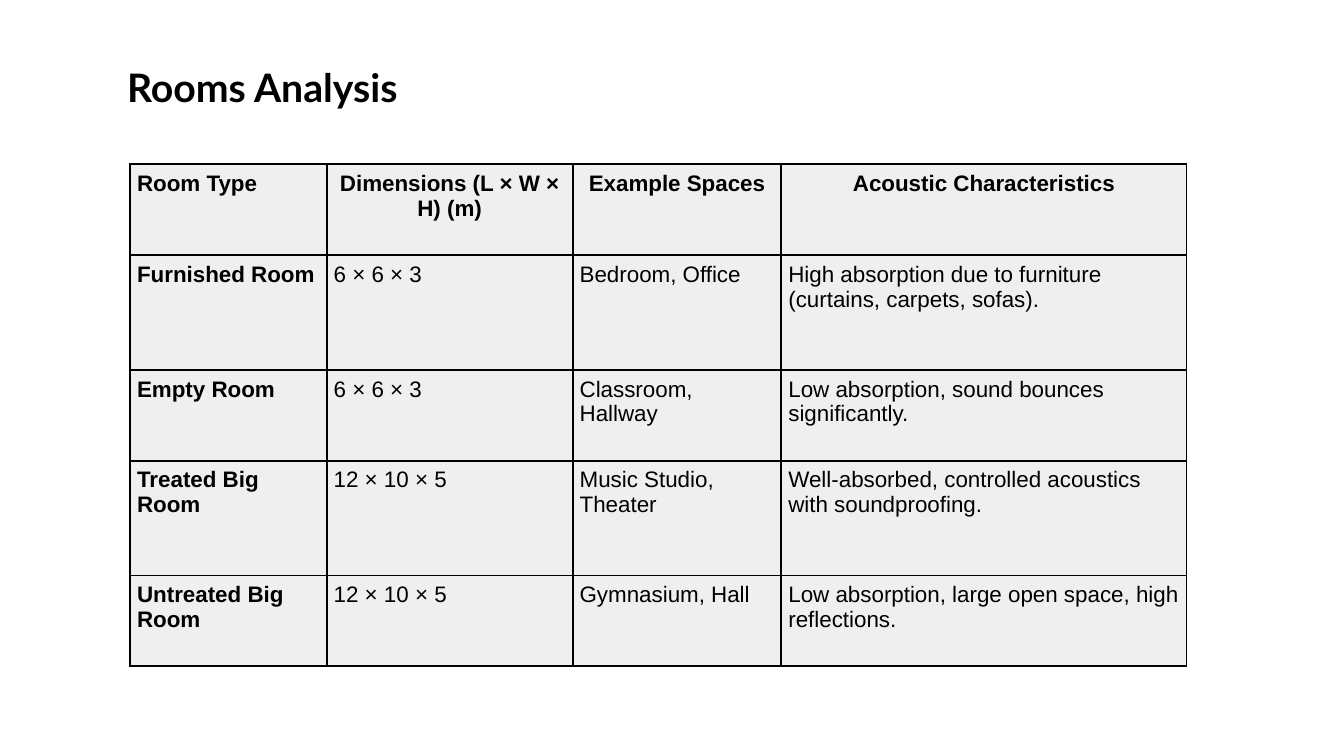
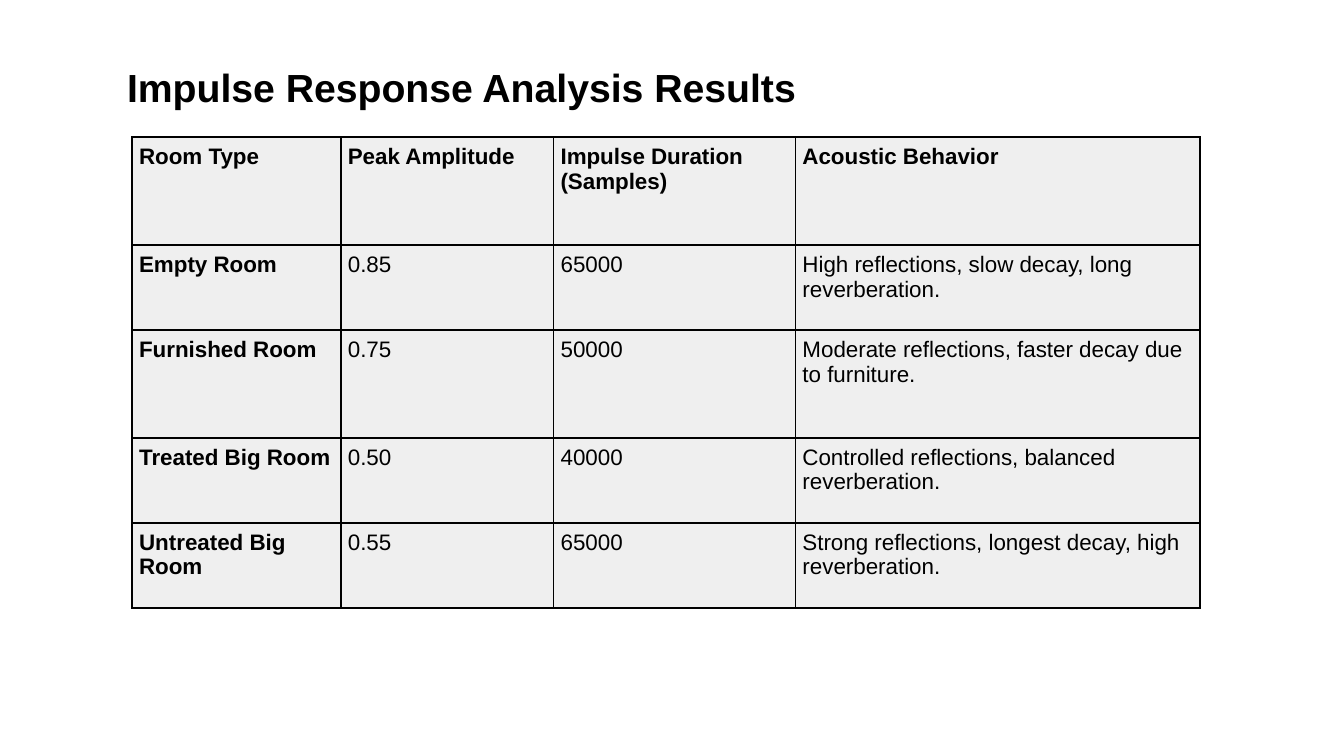
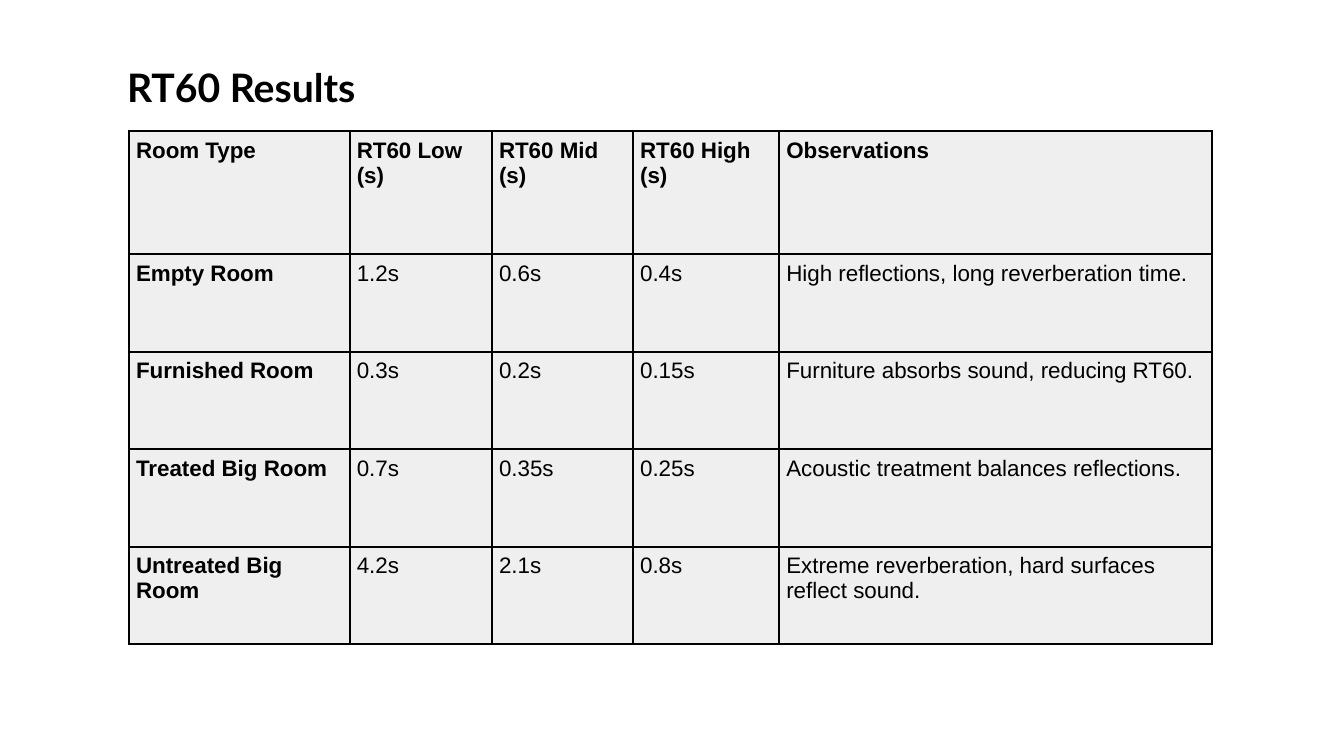
from dataclasses import dataclass
from typing import Any

from lxml.etree import SubElement
from pptx import Presentation
from pptx.dml.color import RGBColor as RGB
from pptx.enum.text import MSO_ANCHOR as Anchor, MSO_AUTO_SIZE as AutoSize, PP_ALIGN as Align
from pptx.oxml.ns import qn
from pptx.util import Inches, Length, Pt


@dataclass(frozen=True)
class Theme:
    ink: RGB = RGB(0, 0, 0)
    cell: RGB = RGB(0xEF, 0xEF, 0xEF)
    body_font: str = "Arial"
    title_size: Length = Pt(28)
    body_size: Length = Pt(16)
    gap: Length = Pt(12)
    inset: Length = Inches(0.07)
    border: Length = Pt(1.5)


@dataclass(frozen=True)
class TableSlide:
    """Left and columns are percent of slide width; top and rows of its height."""
    title: str
    title_font: str
    left: float
    top: float
    columns: tuple[float, ...]
    rows: tuple[float, ...]
    cells: tuple[tuple[str, ...], ...]
    centred_heads: bool = False


THEME = Theme()
WIDTH, HEIGHT = Inches(13.33), Inches(7.5)
TITLE_BOX = (8.7, 7.73, 67.9, 7.6)
BORDERS = ("a:lnL", "a:lnR", "a:lnT", "a:lnB")

SLIDES = (
    TableSlide(
        "Rooms Analysis", "Lato", 9.68, 21.73,
        (14.63, 18.3, 15.53, 30.15), (12, 15.2, 12, 15.2, 12),
        (
            ("Room Type", "Dimensions (L × W × H) (m)", "Example Spaces",
             "Acoustic Characteristics"),
            ("Furnished Room", "6 × 6 × 3", "Bedroom, Office",
             "High absorption due to furniture (curtains, carpets, sofas)."),
            ("Empty Room", "6 × 6 × 3", "Classroom, Hallway",
             "Low absorption, sound bounces significantly."),
            ("Treated Big Room", "12 × 10 × 5", "Music Studio, Theater",
             "Well-absorbed, controlled acoustics with soundproofing."),
            ("Untreated Big Room", "12 × 10 × 5", "Gymnasium, Hall",
             "Low absorption, large open space, high reflections."),
        ),
        centred_heads=True,
    ),
    TableSlide(
        "Impulse Response Analysis Results", "Arial", 9.83, 18.13,
        (15.53, 15.83, 18, 30.08), (14.27, 11.25, 14.27, 11.25, 11.25),
        (
            ("Room Type", "Peak Amplitude", "Impulse Duration (Samples)", "Acoustic Behavior"),
            ("Empty Room", "0.85", "65000",
             "High reflections, slow decay, long reverberation."),
            ("Furnished Room", "0.75", "50000",
             "Moderate reflections, faster decay due to furniture."),
            ("Treated Big Room", "0.50", "40000",
             "Controlled reflections, balanced reverberation."),
            ("Untreated Big Room", "0.55", "65000",
             "Strong reflections, longest decay, high reverberation."),
        ),
    ),
    TableSlide(
        "RT60 Results", "Lato", 9.6, 17.33,
        (16.43, 10.58, 10.5, 10.88, 32.18), (16.3, 12.9, 12.9, 12.9, 12.9),
        (
            ("Room Type", "RT60 Low (s)", "RT60 Mid (s)", "RT60 High (s)", "Observations"),
            ("Empty Room", "1.2s", "0.6s", "0.4s",
             "High reflections, long reverberation time."),
            ("Furnished Room", "0.3s", "0.2s", "0.15s",
             "Furniture absorbs sound, reducing RT60."),
            ("Treated Big Room", "0.7s", "0.35s", "0.25s",
             "Acoustic treatment balances reflections."),
            ("Untreated Big Room", "4.2s", "2.1s", "0.8s",
             "Extreme reverberation, hard surfaces reflect sound."),
        ),
    ),
)


def across(percent: float) -> Length:
    return Length(round(WIDTH * percent / 100))


def down(percent: float) -> Length:
    return Length(round(HEIGHT * percent / 100))


def apply(target: Any, values: dict[str, Any]) -> None:
    for name, value in values.items():
        setattr(target, name, value)


def write(p: Any, text: str, font: str, size: Length, bold: bool) -> None:
    r = p.add_run()
    r.text = text
    apply(r.font, {"name": font, "size": size, "bold": bold})
    r.font.color.rgb = THEME.ink


def add_title(slide: Any, text: str, font: str) -> None:
    sp = slide.shapes.title
    left, top, width, height = TITLE_BOX
    apply(sp, {"left": across(left), "top": down(top),
               "width": across(width), "height": down(height)})
    tf = sp.text_frame
    apply(tf, {"word_wrap": True, "vertical_anchor": Anchor.TOP,
               "auto_size": AutoSize.SHAPE_TO_FIT_TEXT})
    p = tf.paragraphs[0]
    p.alignment = Align.LEFT
    write(p, text, font, THEME.title_size, True)


def format_cell(cell: Any) -> None:
    """Set the insets, the borders and then the fill, in the order the schema asks for."""
    apply(cell, {f"margin_{side}": THEME.inset for side in ("left", "right", "top", "bottom")})
    props = cell._tc.get_or_add_tcPr()
    for tag in BORDERS:
        line = SubElement(props, qn(tag), w=str(THEME.border))
        fill = SubElement(line, qn("a:solidFill"))
        SubElement(fill, qn("a:srgbClr"), val=str(THEME.ink))
    cell.fill.solid()
    cell.fill.fore_color.rgb = THEME.cell


def add_room_table(slide: Any, spec: TableSlide) -> None:
    frame = slide.shapes.add_table(
        len(spec.rows), len(spec.columns), across(spec.left), down(spec.top),
        across(sum(spec.columns)), down(sum(spec.rows)))
    table = frame.table
    apply(table, {"first_row": False, "horz_banding": False})
    for column, width in zip(table.columns, spec.columns):
        column.width = across(width)
    for row, height in zip(table.rows, spec.rows):
        row.height = down(height)
    for i, texts in enumerate(spec.cells):
        for j, text in enumerate(texts):
            cell = table.cell(i, j)
            format_cell(cell)
            p = cell.text_frame.paragraphs[0]
            centred = spec.centred_heads and i == 0 and j > 0
            apply(p, {"space_before": THEME.gap, "space_after": THEME.gap,
                      "alignment": Align.CENTER if centred else Align.LEFT})
            write(p, text, THEME.body_font, THEME.body_size, i == 0 or j == 0)


def main() -> None:
    prs = Presentation()
    apply(prs, {"slide_width": WIDTH, "slide_height": HEIGHT})
    title_only = prs.slide_layouts[5]
    for spec in SLIDES:
        slide = prs.slides.add_slide(title_only)
        add_title(slide, spec.title, spec.title_font)
        add_room_table(slide, spec)
    prs.save("out.pptx")


if __name__ == "__main__":
    main()
